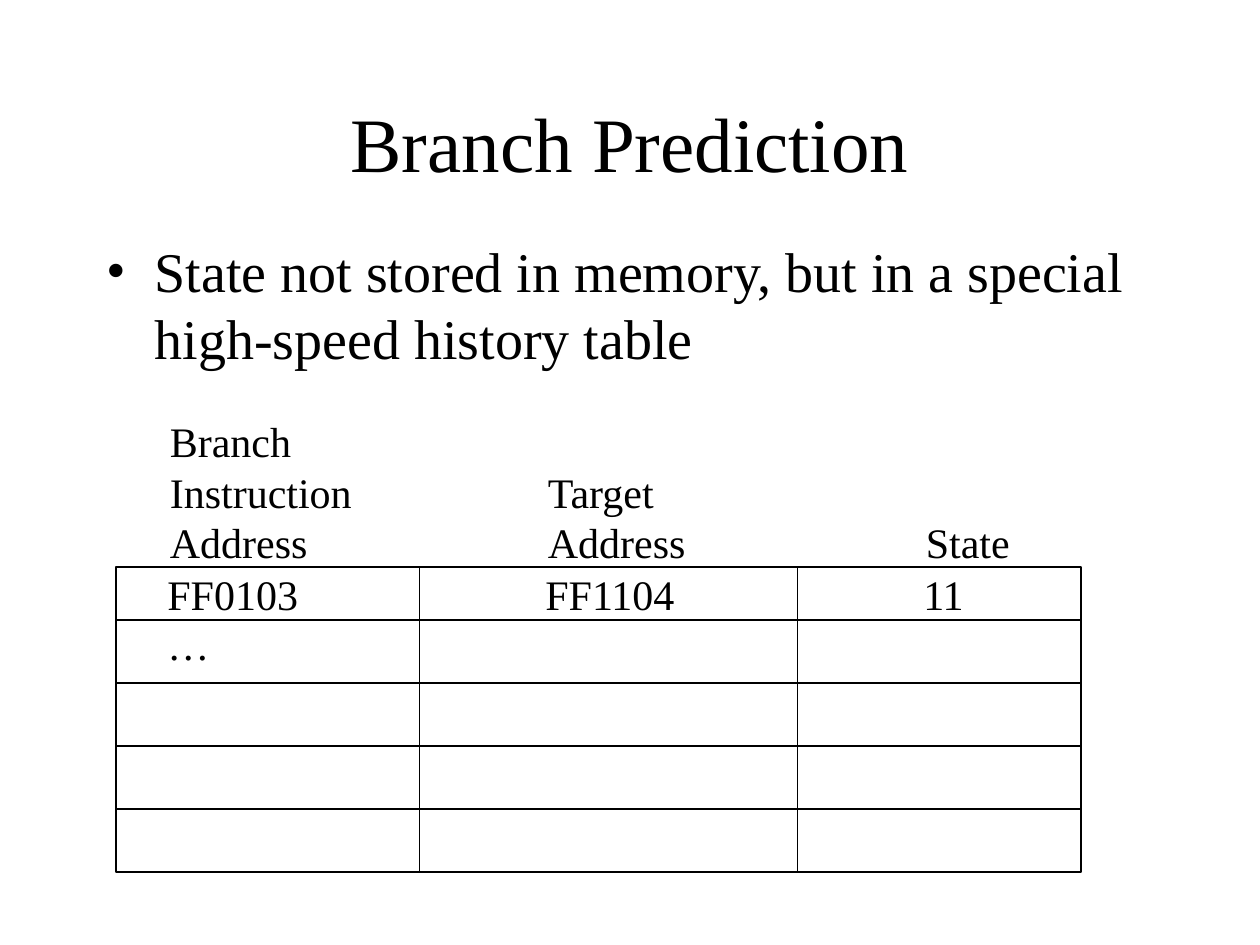
from lxml import etree
from pptx import Presentation
from pptx.dml.color import RGBColor
from pptx.enum.shapes import MSO_CONNECTOR, MSO_SHAPE
from pptx.enum.text import MSO_ANCHOR, PP_ALIGN
from pptx.oxml.ns import qn
from pptx.util import Inches, Pt

STRAIGHT = MSO_CONNECTOR.STRAIGHT
RECTANGLE = MSO_SHAPE.RECTANGLE
TOP, MIDDLE = MSO_ANCHOR.TOP, MSO_ANCHOR.MIDDLE
LEFT, CENTER = PP_ALIGN.LEFT, PP_ALIGN.CENTER

COLORS = {"ink": "000000", "background": "FFFFFF"}
FONT = "Times New Roman"
LINE_WIDTH = 0.75

TITLE = ["Branch Prediction"]
BODY = ["State not stored in memory, but in a special high-speed history table"]
HEADINGS = ["Branch", "Instruction\t\tTarget\t\t", "Address\t\tAddress\t\tState"]
ENTRIES = ["FF0103\t\tFF1104\t\t11", "…"]

FRAME = {"left": 0.92, "top": 4.5, "right": 8.58, "bottom": 6.92}
ROW_HEIGHT = 0.5
INNER_ROWS = 4
COLUMN_EDGES = [3.33, 6.33]

TITLE_FORMAT = {"alignment": CENTER}
BODY_FORMAT = {"alignment": LEFT, "space_before": Pt(8)}
TABBED_FORMAT = {"alignment": LEFT}


def color(name):
    return RGBColor.from_string(COLORS[name])


def add_text(slide, box, lines, size, paragraph_format, anchor=TOP):
    shape = slide.shapes.add_textbox(*map(Inches, box))
    frame = shape.text_frame
    frame.word_wrap = True
    frame.vertical_anchor = anchor
    frame.text = "\n".join(lines)
    for paragraph in frame.paragraphs:
        for name, value in paragraph_format.items():
            setattr(paragraph, name, value)
        for run in paragraph.runs:
            run.font.name = FONT
            run.font.size = Pt(size)
            run.font.color.rgb = color("ink")
    return frame.paragraphs


def add_bullet(paragraph, indent):
    properties = paragraph._p.get_or_add_pPr()
    properties.set("marL", str(Inches(indent)))
    properties.set("indent", str(-Inches(indent)))
    etree.SubElement(properties, qn("a:buFont"), typeface=FONT)
    etree.SubElement(properties, qn("a:buChar"), char="•")


def add_tabs(paragraph):
    properties = paragraph._p.get_or_add_pPr()
    tab_list = etree.SubElement(properties, qn("a:tabLst"))
    for position in range(8):
        etree.SubElement(tab_list, qn("a:tab"), pos=str(Inches(position)), algn="l")


def style_line(line):
    line.color.rgb = color("ink")
    line.width = Pt(LINE_WIDTH)


def add_line(slide, start, end):
    connector = slide.shapes.add_connector(STRAIGHT, *map(Inches, start + end))
    style_line(connector.line)
    etree.SubElement(connector._element.spPr, qn("a:effectLst"))


def add_grid(slide):
    left, top, right, bottom = FRAME.values()
    frame = slide.shapes.add_shape(
        RECTANGLE, *map(Inches, (left, top, right - left, bottom - top))
    )
    frame.shadow.inherit = False
    frame.fill.background()
    style_line(frame.line)
    for row in range(INNER_ROWS):
        y = bottom - (INNER_ROWS - row) * ROW_HEIGHT
        add_line(slide, (left, y), (right, y))
    for x in COLUMN_EDGES:
        add_line(slide, (x, top), (x, bottom))


def main():
    presentation = Presentation()
    presentation.slide_width = Inches(10)
    presentation.slide_height = Inches(7.5)
    slide = presentation.slides.add_slide(presentation.slide_layouts[6])
    slide.background.fill.solid()
    slide.background.fill.fore_color.rgb = color("background")

    add_text(slide, (0.75, 0.5, 8.5, 1.25), TITLE, 44, TITLE_FORMAT, MIDDLE)
    body = add_text(slide, (0.75, 1.83, 8.5, 1.17), BODY, 32, BODY_FORMAT)
    add_bullet(body[0], 0.38)

    headings = add_text(slide, (1.25, 3.25, 7, 1.3), HEADINGS, 24, TABBED_FORMAT)
    add_grid(slide)
    entries = add_text(slide, (1.23, 4.46, 7, 0.9), ENTRIES, 24, TABBED_FORMAT)
    for paragraph in headings + entries:
        add_tabs(paragraph)

    presentation.save("out.pptx")


if __name__ == "__main__":
    main()
